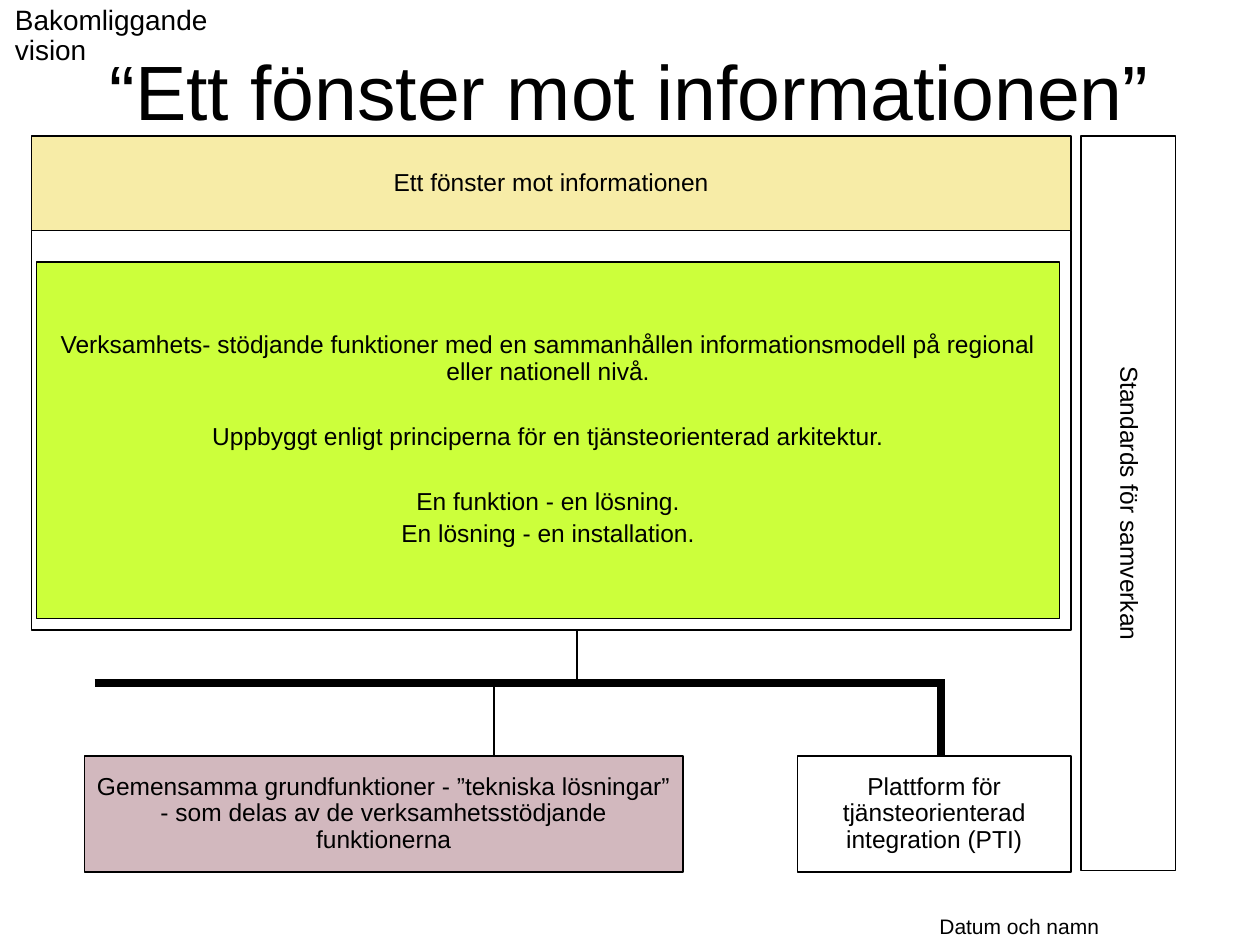
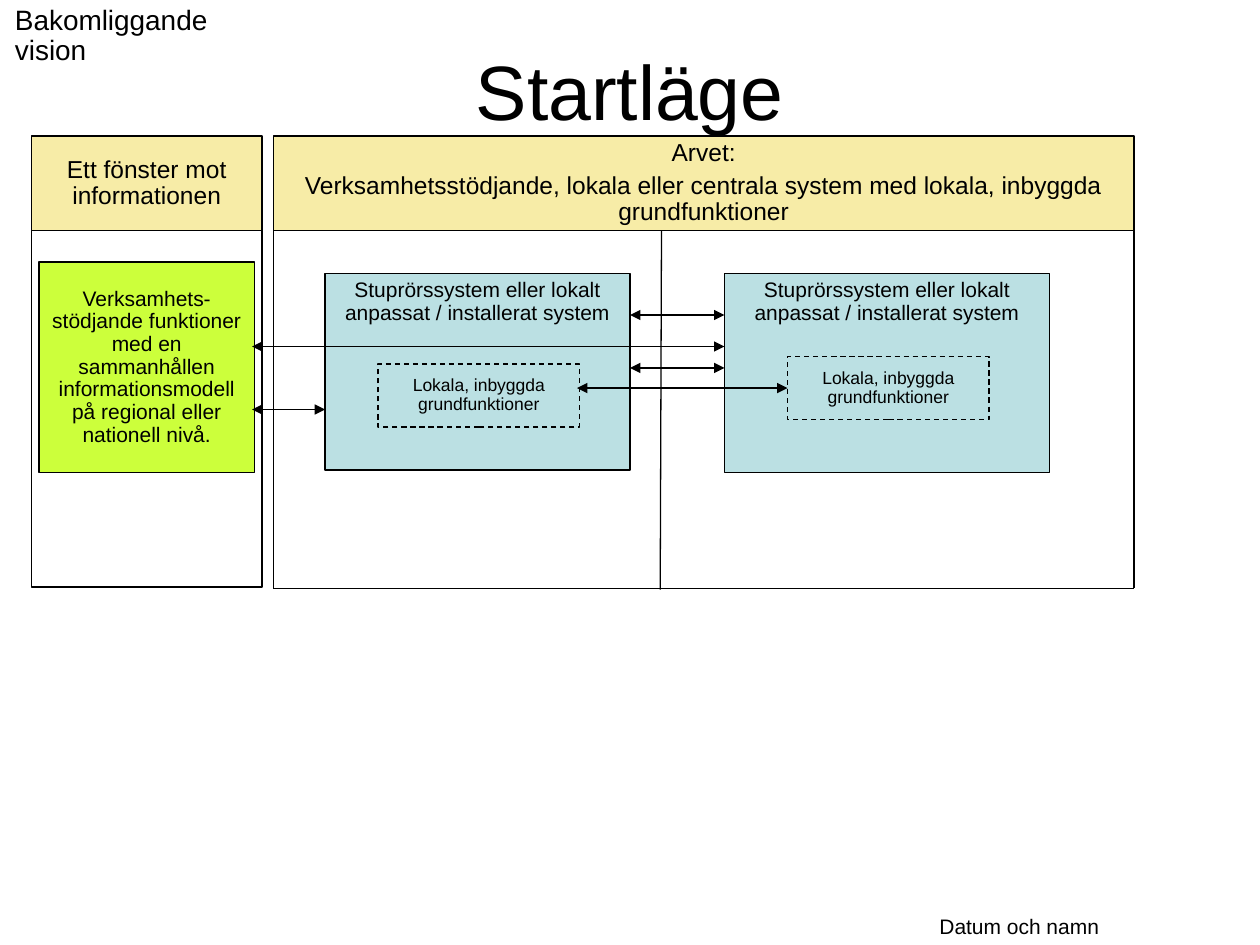
"""Builds two slides on a shared information vision and its starting point."""
from lxml import etree
from pptx import Presentation
from pptx.dml.color import RGBColor
from pptx.enum import dml, shapes, text
from pptx.oxml.ns import qn
from pptx.util import Inches, Pt

FONT = "Arial"
COLOURS = {
    "ink": "000000",
    "white": "FFFFFF",
    "header": "F7ECA7",
    "functions": "CCFF3B",
    "common": "D2B8BE",
    "system": "BBE0E3",
}
LEFT, TOP, HEADER_H = 0.25, 1.08, 0.75
BODY_TOP = TOP + HEADER_H
WINDOW = "Ett fönster mot informationen"
FUNCTIONS = ("Verksamhets- stödjande funktioner med en sammanhållen "
             "informationsmodell på regional eller nationell nivå.")
SYSTEM = "Stuprörssystem eller lokalt anpassat / installerat system"
LOCAL = "Lokala, inbyggda grundfunktioner"


def colour(name):
    """Return the named colour."""
    return RGBColor.from_string(COLOURS[name])


def write(tf, lines, size, gaps=None, align=text.PP_ALIGN.CENTER, spacing=0.9):
    """Fill a text frame with one paragraph per line, spaced by gaps."""
    tf.text = "\n".join(lines)
    for i, p in enumerate(tf.paragraphs):
        p.alignment = align
        p.line_spacing = spacing
        p.space_before = Pt(gaps[i - 1] if i and gaps else 0)
        for r in p.runs:
            r.font.name, r.font.size = FONT, Pt(size)
            r.font.color.rgb = colour("ink")


def add_box(s, x, y, w, h, fill=None, lines=(), size=14, gaps=None,
            anchor=text.MSO_ANCHOR.MIDDLE, dashed=False):
    """Add an outlined rectangle with optional fill and text."""
    sp = s.shapes.add_shape(shapes.MSO_SHAPE.RECTANGLE,
                            Inches(x), Inches(y), Inches(w), Inches(h))
    sp.shadow.inherit = False
    if fill:
        sp.fill.solid()
        sp.fill.fore_color.rgb = colour(fill)
    else:
        sp.fill.background()
    sp.line.color.rgb = colour("ink")
    sp.line.width = Pt(0.75)
    if dashed:
        sp.line.dash_style = dml.MSO_LINE.DASH
    if lines:
        tf = sp.text_frame
        tf.word_wrap = True
        tf.vertical_anchor = anchor
        write(tf, lines, size, gaps)
    return sp


def add_line(s, x1, y1, x2, y2, width=0.75, arrows=False):
    """Add a straight line, with an arrowhead at both ends on request."""
    line = s.shapes.add_connector(shapes.MSO_CONNECTOR.STRAIGHT, Inches(x1),
                                  Inches(y1), Inches(x2), Inches(y2))
    line.line.color.rgb = colour("ink")
    line.line.width = Pt(width)
    if arrows:
        ln = line.line._get_or_add_ln()
        for end in ("a:headEnd", "a:tailEnd"):
            etree.SubElement(ln, qn(end), type="triangle")
    etree.SubElement(line._element.spPr, qn("a:effectLst"))
    return line


def add_label(s, x, y, w, h, words, size, wrap=True, **style):
    """Add a text box with one line of text."""
    tf = s.shapes.add_textbox(Inches(x), Inches(y), Inches(w), Inches(h)).text_frame
    tf.word_wrap = wrap
    write(tf, [words], size, **style)


def add_header(s, x, w, lines):
    """Add a column header with its text."""
    add_box(s, x, TOP, w, HEADER_H, "header", lines, gaps=[3.5])


def add_slide(prs, title, draw):
    """Add a slide with footer, drawn content, section label and title."""
    s = prs.slides.add_slide(prs.slide_layouts[6])
    add_label(s, 6.18, 7.2, 3.82, 0.3, "Datum och namn", 12, spacing=1)
    draw(s)
    add_label(s, 0.02, 0, 2.35, 0.34, "Bakomliggande vision", 16, wrap=False,
              align=text.PP_ALIGN.LEFT)
    add_label(s, 0, 0.3, 10, 1.25, title, 44, spacing=1)


def draw_vision(s):
    """Draw the shared functions resting on a common platform."""
    width, bus_y, base_y, base_h = 8.25, 5.42, 6, 0.92
    add_box(s, LEFT, BODY_TOP, width, 3.17)
    add_header(s, LEFT, width, [WINDOW])
    add_line(s, 0.75, bus_y, 7.5, bus_y, 4.5)
    add_box(s, 0.29, 2.08, 8.12, 2.83, "functions", [
        FUNCTIONS,
        "Uppbyggt enligt principerna för en tjänsteorienterad arkitektur.",
        "En funktion - en lösning.",
        "En lösning - en installation.",
    ], gaps=[22, 22, 3.5])
    add_box(s, 6.33, base_y, 2.17, base_h, "white",
            ["Plattform för tjänsteorienterad integration (PTI)"])
    add_line(s, 7.47, bus_y, 7.47, base_y, 4.5)
    add_box(s, 0.67, base_y, 4.75, base_h, "common",
            ["Gemensamma grundfunktioner - ”tekniska lösningar” - som delas av "
             "de verksamhetsstödjande funktionerna"])
    add_line(s, 3.92, bus_y, 3.92, base_y)
    add_line(s, 4.58, 5, 4.58, bus_y)
    standards = add_box(s, 6.04, 3.62, 5.83, 0.75, "white",
                        ["Standards för samverkan"])
    standards.rotation = 90


def draw_start(s):
    """Draw the new functions beside the inherited systems."""
    window_w, legacy_x, legacy_w, bottom = 1.83, 2.17, 6.83, 4.67
    legacy_right = legacy_x + legacy_w
    add_box(s, LEFT, BODY_TOP, window_w, 2.83)
    add_line(s, legacy_x, bottom, legacy_right, bottom)
    add_header(s, legacy_x, legacy_w, [
        "Arvet:",
        "Verksamhetsstödjande, lokala eller centrala system med lokala, "
        "inbyggda grundfunktioner"])
    add_header(s, LEFT, window_w, [WINDOW])
    for x in (legacy_x, legacy_right):
        add_line(s, x, TOP, x, bottom)
    add_box(s, 0.31, 2.08, 1.71, 1.67, "functions", [FUNCTIONS], 12)
    for x, w, h in ((2.58, 2.42, 1.56), (5.75, 2.58, 1.58)):
        add_box(s, x, 2.17, w, h, "system", [SYSTEM], 12,
                anchor=text.MSO_ANCHOR.TOP)
    add_line(s, 5.25, BODY_TOP, 5.24, 4.68)
    for x, y in ((3, 2.89), (6.25, 2.83)):
        local = add_box(s, x, y, 1.6, 0.5, "system", [LOCAL], 10, dashed=True)
    for x1, x2, y in ((5, 5.75, 2.5), (5, 5.75, 2.92), (2, 2.58, 3.25),
                      (2, 5.75, 2.75)):
        add_line(s, x1, y, x2, y, arrows=True)
    link = add_line(s, 4.58, 3.08, 6.25, 3.08, arrows=True)
    link.end_connect(local, 1)


def main():
    """Build and save the presentation."""
    prs = Presentation()
    prs.slide_width, prs.slide_height = Inches(10), Inches(7.5)
    add_slide(prs, "“Ett fönster mot informationen”", draw_vision)
    add_slide(prs, "Startläge", draw_start)
    prs.save("out.pptx")


if __name__ == "__main__":
    main()
